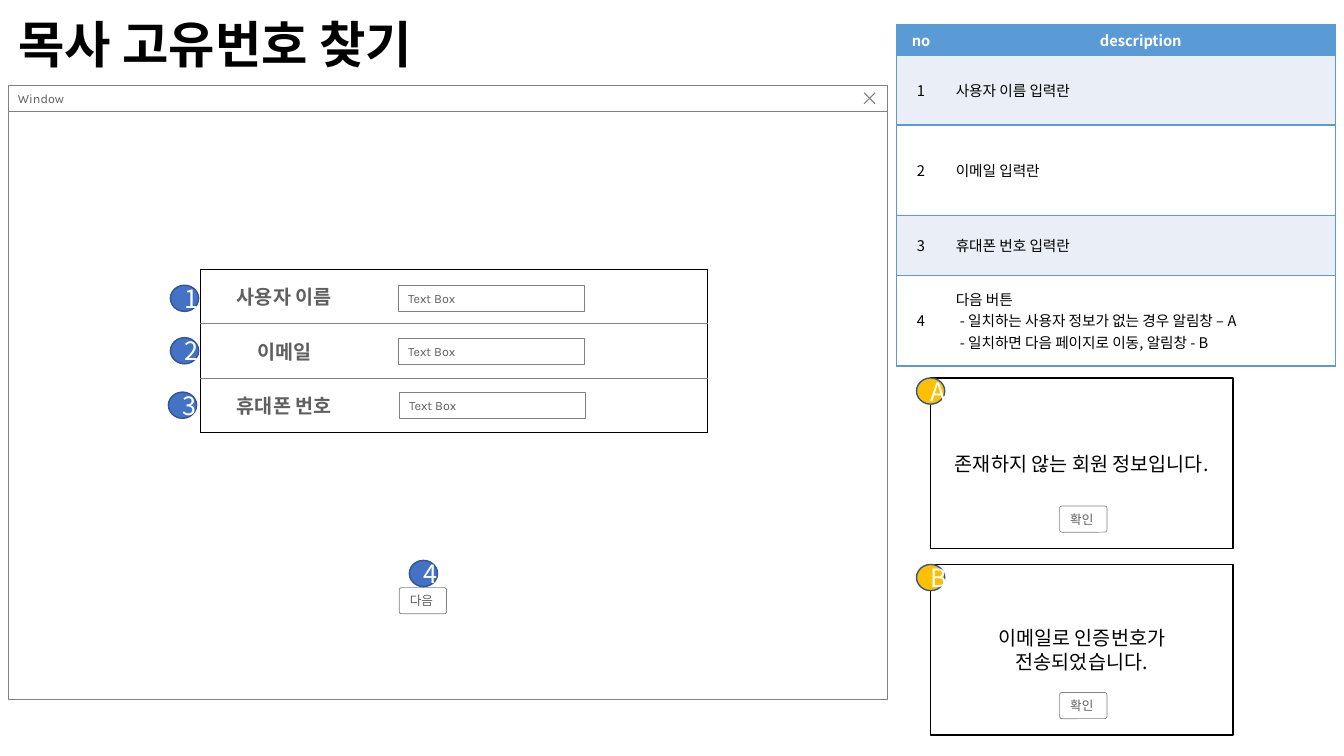
from dataclasses import dataclass
from typing import Optional

from lxml.etree import SubElement
from pptx import Presentation
from pptx.dml.color import RGBColor
from pptx.enum.shapes import MSO_SHAPE as Form
from pptx.enum.text import MSO_ANCHOR as Anchor, MSO_AUTO_SIZE as Fit, PP_ALIGN as Align
from pptx.oxml import parse_xml
from pptx.oxml.ns import nsdecls, qn
from pptx.util import Pt

PX = 9144  # 100 px to the inch
NOTO, KARLA = "Noto Sans CJK KR", "Karla"
WHITE, BLACK, GREY, INK = "FFFFFF", "000000", "808080", "5F5F5F"
BLUE, GOLD, NAVY = "4472C4", "FFC000", "325491"
SKY, PALE = "5B9BD5", "EAEFF7"


@dataclass
class Style:
    size: float
    font: str
    color: str
    bold: bool = False
    align: Align = Align.LEFT


@dataclass
class Edge:
    color: str
    width: float


@dataclass
class Badge:
    mark: str
    x: int
    y: int


@dataclass
class Alert:
    mark: str
    y: int
    text: str


SMALL = Style(9, KARLA, INK)
MARK = Style(18, NOTO, WHITE, align=Align.CENTER)
THIN = Edge(GREY, 0.5)


def rgb(code: str) -> RGBColor:
    return RGBColor.from_string(code)


def write(frame, text: str, style: Style) -> None:
    frame.text = text
    for para in frame.paragraphs:
        para.alignment = style.align
        for run in para.runs:
            font = run.font
            font.size, font.name, font.bold = Pt(style.size), style.font, style.bold
            font.color.rgb = rgb(style.color)
            SubElement(font._element, qn("a:ea")).set("typeface", NOTO)


def draw(shapes, form: Form, x: int, y: int, w: int, h: int, fill: str, edge: Edge):
    shape = shapes.add_shape(form, x * PX, y * PX, w * PX, h * PX)
    shape.shadow.inherit = False
    shape.fill.solid()
    shape.fill.fore_color.rgb = rgb(fill)
    shape.line.color.rgb = rgb(edge.color)
    shape.line.width = Pt(edge.width)
    return shape


def badge(shapes, item: Badge, fill: str) -> None:
    dot = draw(shapes, Form.OVAL, item.x, item.y, 28, 26, fill, Edge(NAVY, 1))
    write(dot.text_frame, item.mark, MARK)


def button(shapes, x: int, y: int, text: str) -> None:
    box = draw(shapes, Form.ROUNDED_RECTANGLE, x, y, 47, 26, WHITE, THIN)
    box.adjustments[0] = 0.09
    box.text_frame.word_wrap = False
    box.text_frame.auto_size = Fit.SHAPE_TO_FIT_TEXT
    write(box.text_frame, text, SMALL)


def field(shapes, x: int, y: int) -> None:
    box = draw(shapes, Form.RECTANGLE, x, y, 185, 26, WHITE, THIN)
    frame = box.text_frame
    frame.margin_top = frame.margin_bottom = 6 * PX
    frame.auto_size = Fit.SHAPE_TO_FIT_TEXT
    write(frame, "Text Box", SMALL)


def border(cell, edges: dict[str, Optional[Edge]]) -> None:
    props = cell._tc.get_or_add_tcPr()
    for spot, (side, edge) in enumerate(edges.items()):
        width = Pt(edge.width) if edge else 0
        fill = f'<a:solidFill><a:srgbClr val="{edge.color}"/></a:solidFill>' if edge else "<a:noFill/>"
        line = f'<a:ln{side} {nsdecls("a")} w="{width}">{fill}</a:ln{side}>'
        props.insert(spot, parse_xml(line))


def grid(shapes, x: int, y: int, cols: list[int], rows: list[int],
         fills: list[str], outer: Edge, inner: Edge):
    table = shapes.add_table(len(rows), len(cols), x * PX, y * PX,
                             sum(cols) * PX, sum(rows) * PX).table
    table.first_row = table.horz_banding = False
    for col, width in zip(table.columns, cols):
        col.width = width * PX
    for r, height in enumerate(rows):
        table.rows[r].height = height * PX
        for c in range(len(cols)):
            cell = table.cell(r, c)
            cell.fill.solid()
            cell.fill.fore_color.rgb = rgb(fills[r])
            cell.vertical_anchor = Anchor.MIDDLE
            border(cell, {
                "L": outer if c == 0 else None,
                "R": outer if c == len(cols) - 1 else None,
                "T": outer if r == 0 else inner,
                "B": outer if r == len(rows) - 1 else inner,
            })
    return table


def window(shapes) -> None:
    group = shapes.add_group_shape().shapes
    draw(group, Form.RECTANGLE, 8, 111, 872, 583, WHITE, THIN)
    bar = draw(group, Form.RECTANGLE, 8, 85, 872, 26, WHITE, THIN)
    bar.text_frame.margin_right = 25 * PX
    write(bar.text_frame, "Window", SMALL)
    pen = group.build_freeform(868, 92, scale=PX)
    pen.add_line_segments([(857, 103)], close=False)
    pen.move_to(857, 92)
    pen.add_line_segments([(868, 103)], close=False)
    cross = pen.convert_to_shape()
    cross.shadow.inherit = False
    cross.fill.background()
    cross.line.color.rgb = rgb(GREY)
    cross.line.width = Pt(0.75)


def notes(shapes) -> None:
    table = grid(shapes, 889, 24, [49, 387], [24, 69, 90, 59, 90],
                 [SKY, PALE, WHITE, PALE, WHITE], Edge(SKY, 1), Edge(SKY, 1))
    head = Style(10.5, NOTO, WHITE, True, Align.CENTER)
    for c, text in enumerate(["no", "description"]):
        table.cell(0, c).vertical_anchor = Anchor.TOP
        write(table.cell(0, c).text_frame, text, head)
    lines = [
        "사용자 이름 입력란",
        "이메일 입력란",
        "휴대폰 번호 입력란",
        "다음 버튼\n- 일치하는 사용자 정보가 없는 경우 알림창 – A\n"
        "- 일치하면 다음 페이지로 이동, 알림창 - B",
    ]
    for r, text in enumerate(lines, 1):
        write(table.cell(r, 0).text_frame, str(r), Style(10.5, NOTO, BLACK, align=Align.CENTER))
        write(table.cell(r, 1).text_frame, text, Style(10.5, NOTO, BLACK))
    for para in table.cell(4, 1).text_frame.paragraphs[1:]:
        para._p.get_or_add_pPr().set("marL", str(4 * PX))


def form(shapes) -> None:
    table = grid(shapes, 199, 267, [166, 337], [54] * 3, [WHITE] * 3, Edge(BLACK, 1), THIN)
    for r, text in enumerate(["사용자 이름", "이메일", "휴대폰 번호"]):
        write(table.cell(r, 0).text_frame, text, Style(14, KARLA, INK, True, Align.CENTER))
    for x, y in [(395, 283), (395, 336), (396, 389)]:
        field(shapes, x, y)


def alert(shapes, item: Alert) -> None:
    box = draw(shapes, Form.RECTANGLE, 923, item.y, 300, 169, WHITE, Edge(BLACK, 1))
    write(box.text_frame, item.text, Style(14, NOTO, BLACK, align=Align.CENTER))
    button(shapes, 1051, item.y + 127, "확인")
    badge(shapes, Badge(item.mark, 909, item.y), GOLD)


def main() -> None:
    deck = Presentation()
    deck.slide_width, deck.slide_height = 1333 * PX, 750 * PX
    slide = deck.slides.add_slide(deck.slide_layouts[5])
    shapes = slide.shapes

    # Title
    title = shapes.title
    title.left, title.top, title.width, title.height = 8 * PX, 10 * PX, 768 * PX, 73 * PX
    title.text_frame.auto_size = Fit.NONE
    title.text_frame.vertical_anchor = Anchor.MIDDLE
    write(title.text_frame, "목사 고유번호 찾기", Style(36, NOTO, BLACK, True))
    title.text_frame.paragraphs[0].line_spacing = 0.9

    # Window with its form, and the notes beside it
    window(shapes)
    notes(shapes)
    form(shapes)
    button(shapes, 396, 583, "다음")
    for item in [Badge("1", 169, 283), Badge("2", 169, 335),
                 Badge("3", 167, 389), Badge("4", 406, 556)]:
        badge(shapes, item, BLUE)

    # Alerts
    for item in [Alert("A", 375, "존재하지 않는 회원 정보입니다."),
                 Alert("B", 560, "이메일로 인증번호가\n전송되었습니다.")]:
        alert(shapes, item)

    deck.save("out.pptx")


if __name__ == "__main__":
    main()
